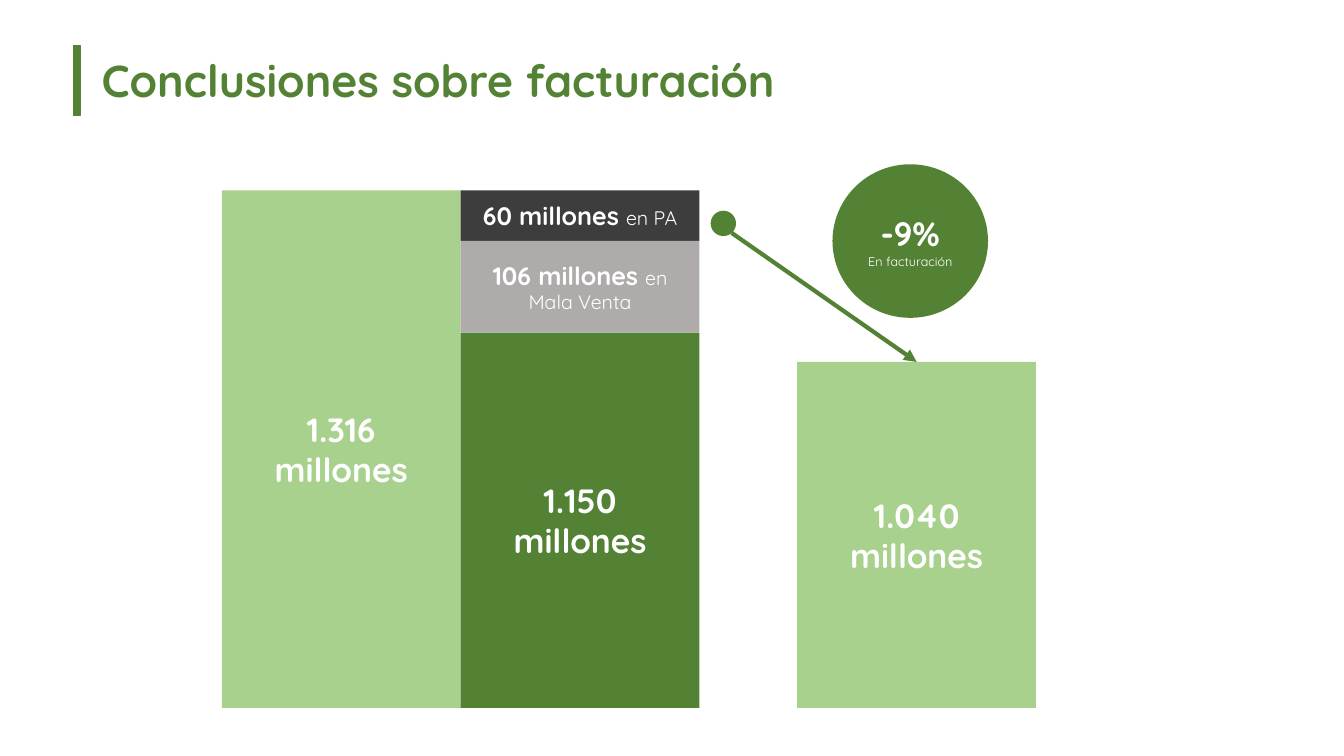
from pptx import Presentation
from pptx.dml.color import RGBColor
from pptx.enum.shapes import MSO_CONNECTOR, MSO_SHAPE
from pptx.enum.text import MSO_ANCHOR, PP_ALIGN
from pptx.oxml.ns import qn
from pptx.util import Cm, Pt
from lxml.etree import SubElement

FONT = "Quicksand"
GREEN, LIGHT_GREEN, DARK, GRAY, WHITE = "548235", "A9D18E", "3D3D3E", "AFABAB", "FFFFFF"


def add_span(para, text, size=24, bold=True, color=WHITE):
    span = para.add_run()
    span.text = text
    span.font.name = FONT
    span.font.size = Pt(size)
    span.font.bold = bold
    span.font.color.rgb = RGBColor.from_string(color)


def add_block(kind, left, top, width, height, fill, lines=()):
    block = page.shapes.add_shape(kind, Cm(left), Cm(top), Cm(width), Cm(height))
    block.shadow.inherit = False
    block.fill.solid()
    block.fill.fore_color.rgb = RGBColor.from_string(fill)
    block.line.fill.background()
    frame = block.text_frame
    frame.word_wrap = True
    frame.vertical_anchor = MSO_ANCHOR.MIDDLE
    for number, spans in enumerate(lines):
        para = frame.add_paragraph() if number else frame.paragraphs[0]
        para.alignment = PP_ALIGN.CENTER
        for text, size, bold in spans:
            add_span(para, text, size=size, bold=bold)
    return block


deck = Presentation()
deck.slide_width, deck.slide_height = Cm(33.87), Cm(19.05)
page = deck.slides.add_slide(deck.slide_layouts[6])

# Billing bars: left, top, fill, lines of (text, size, bold); all share one baseline
bar_width, baseline = 6.02, 17.84
first_left, second_left, last_left = 5.59, 5.59 + bar_width, 20.09
bars = [
    (first_left, 4.8, baseline, LIGHT_GREEN, [[("1.316", 24, True)], [("millones", 24, True)]]),
    (second_left, 4.8, 6.07, DARK, [[("60 millones ", 18, True), ("en PA", 14, False)]]),
    (second_left, 6.07, 8.38, GRAY, [[("106 millones ", 18, True), ("en Mala Venta", 14, False)]]),
    (second_left, 8.38, baseline, GREEN, [[("1.150", 24, True)], [("millones", 24, True)]]),
    (last_left, 9.12, baseline, LIGHT_GREEN, [[("1.040 millones", 24, True)]]),
]
for left, top, bottom, fill, lines in bars:
    add_block(MSO_SHAPE.RECTANGLE, left, top, bar_width, bottom - top, fill, lines)

# Arrow down to the last bar
arrow = page.shapes.add_connector(MSO_CONNECTOR.STRAIGHT, Cm(18.44), Cm(5.87), Cm(23.1), Cm(9.12))
arrow.line.color.rgb = RGBColor.from_string(GREEN)
arrow.line.width = Pt(3)
SubElement(arrow.line._get_or_add_ln(), qn("a:tailEnd"), type="triangle")
SubElement(arrow._element.spPr, qn("a:effectLst"))

# Change in billing, with the percentage set slightly to the left
badge = add_block(MSO_SHAPE.OVAL, 20.98, 4.14, 3.92, 3.87, GREEN,
                  [[("-9%", 24, True)], [("En facturación", 9, False)]])
badge.text_frame.paragraphs[0]._p.get_or_add_pPr().set("indent", str(Cm(-0.46)))

# Title and its accent bar
title = page.shapes.add_textbox(Cm(2.31), Cm(1.22), Cm(21.13), Cm(1.75))
title.text_frame.word_wrap = True
title.text_frame.vertical_anchor = MSO_ANCHOR.MIDDLE
title_para = title.text_frame.paragraphs[0]
title_para.line_spacing = 0.9
add_span(title_para, "Conclusiones sobre facturación", size=32, color=GREEN)

accent = add_block(MSO_SHAPE.RECTANGLE, 1.86, 1.15, 0.16, 1.76, GREEN)
accent.line.color.rgb = RGBColor.from_string(GREEN)
accent.line.width = Pt(1)

# Dot where the arrow starts
add_block(MSO_SHAPE.OVAL, 17.91, 5.31, 0.64, 0.64, GREEN)

deck.save("out.pptx")
